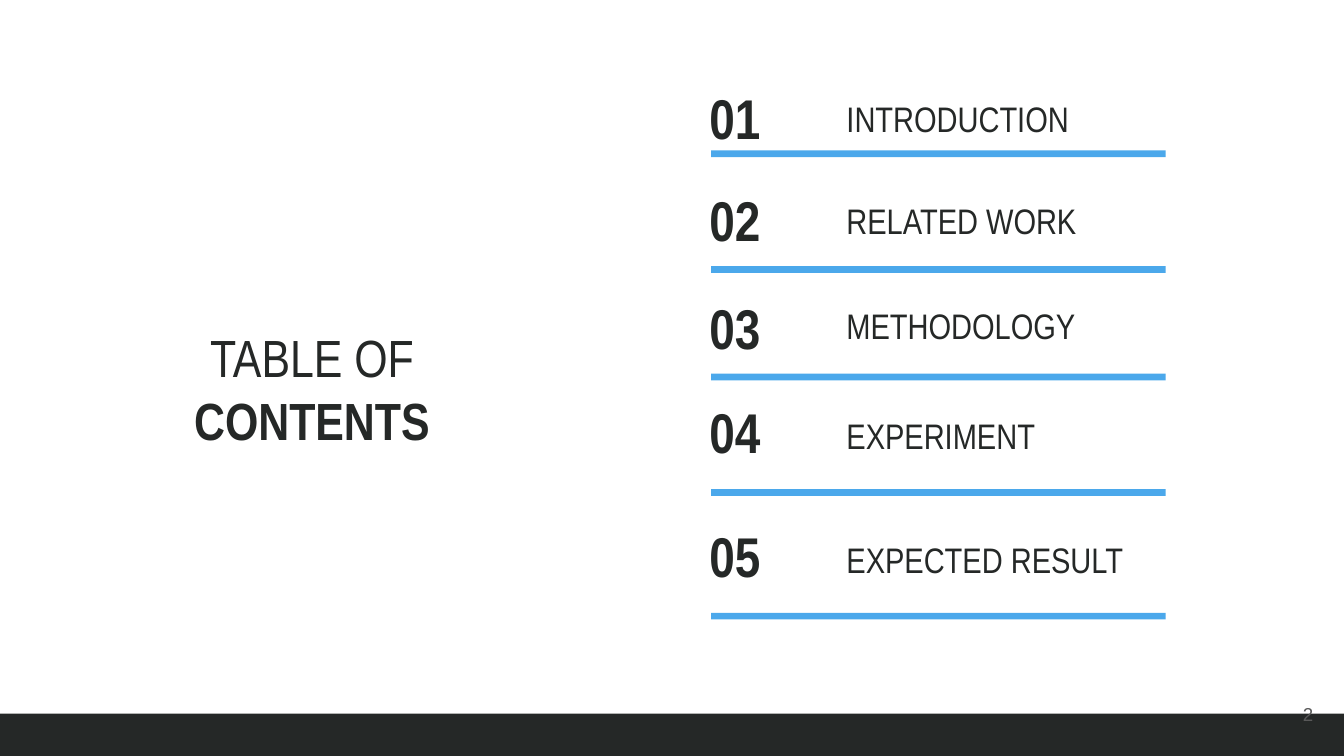
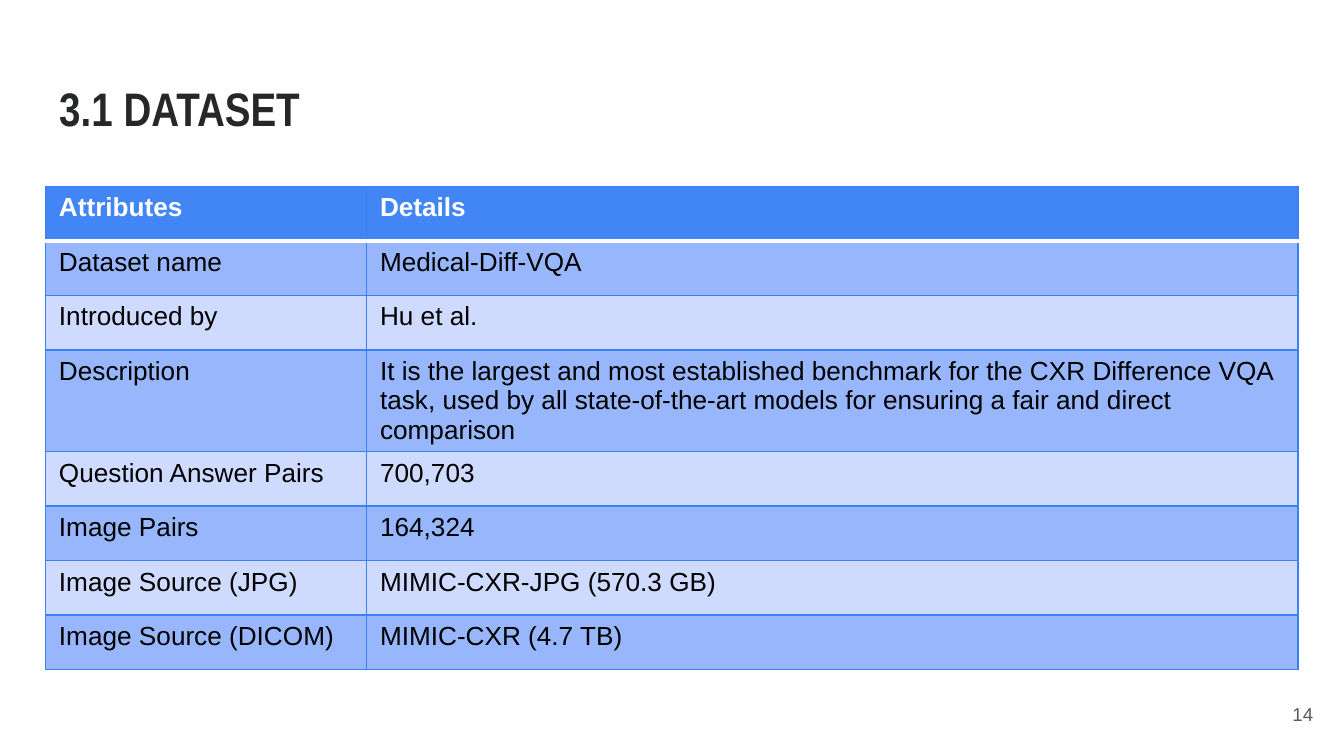
from lxml import etree
from pptx import Presentation
from pptx.dml.color import RGBColor
from pptx.enum.shapes import MSO_SHAPE
from pptx.enum.text import MSO_ANCHOR, MSO_AUTO_SIZE, PP_ALIGN
from pptx.oxml.ns import qn
from pptx.util import Pt

RECTANGLE = MSO_SHAPE.RECTANGLE
TOP, MIDDLE = MSO_ANCHOR.TOP, MSO_ANCHOR.MIDDLE
LEFT, CENTER, RIGHT = PP_ALIGN.LEFT, PP_ALIGN.CENTER, PP_ALIGN.RIGHT
NO_AUTO_SIZE = MSO_AUTO_SIZE.NONE

INK = RGBColor(0x25, 0x28, 0x27)
SKY = RGBColor(0x4B, 0xA8, 0xEB)
GRAY = RGBColor(0x59, 0x59, 0x59)
WHITE = RGBColor(0xFF, 0xFF, 0xFF)
BLACK = RGBColor(0x00, 0x00, 0x00)
HEADER_BLUE = RGBColor(0x42, 0x85, 0xF4)
BAND_DARK = RGBColor(0x97, 0xB6, 0xFB)
BAND_LIGHT = RGBColor(0xCF, 0xDA, 0xFF)
BORDER_BLUE = RGBColor(0x3C, 0x81, 0xF3)

HEADING_FONT, BODY_FONT = "Arial Narrow", "Arial"
INSET = 7.2

TITLE_FORMAT = {"name": HEADING_FONT, "size": Pt(28), "bold": False}
TITLE_BOLD = {**TITLE_FORMAT, "bold": True}
HEADING_FORMAT = {**TITLE_BOLD, "size": Pt(25.2)}
LABEL_FORMAT = {**TITLE_FORMAT, "size": Pt(19)}
NUMBER_FORMAT = {**TITLE_BOLD, "size": Pt(30)}
PAGE_FORMAT = {"name": BODY_FONT, "size": Pt(10)}
CELL_FORMAT = {"name": BODY_FONT, "size": Pt(14), "bold": False}
HEADER_FORMAT = {**CELL_FORMAT, "bold": True}

CONTENTS_TITLE = [("TABLE OF", TITLE_FORMAT), (" CONTENTS", TITLE_BOLD)]
CONTENTS_PAGE = "2"
# label, number top, label top, rule top
CONTENTS = [
    ("INTRODUCTION", 37.4, 44.6, 80.6),
    ("RELATED WORK", 92.2, 99.4, 142.6),
    ("METHODOLOGY", 149.8, 155.5, 200.2),
    ("EXPERIMENT", 205.9, 214.6, 262.1),
    ("EXPECTED RESULT", 272.2, 280.8, 328.3),
]

DATASET_TITLE = [("3.1 DATASET", HEADING_FORMAT)]
DATASET_PAGE = "14"
DATASET = [
    ("Attributes", "Details"),
    ("Dataset name", "Medical-Diff-VQA"),
    ("Introduced by", "Hu et al."),
    ("Description", "It is the largest and most established benchmark for the CXR "
     "Difference VQA task, used by all state-of-the-art models for ensuring a fair "
     "and direct comparison"),
    ("Question Answer Pairs", "700,703"),
    ("Image Pairs", "164,324"),
    ("Image Source (JPG)", "MIMIC-CXR-JPG (570.3 GB)"),
    ("Image Source (DICOM)", "MIMIC-CXR (4.7 TB)"),
]
COLUMN_WIDTHS = (172, 499)
ROW_HEIGHT = 29.2


def set_format(target, values):
    for name, value in values.items():
        setattr(target, name, value)


def place(shape, box):
    set_format(shape, dict(zip(("left", "top", "width", "height"), map(Pt, box))))


def write_runs(paragraph, runs, color, alignment=LEFT):
    paragraph.alignment = alignment
    for text, values in runs:
        run = paragraph.add_run()
        run.text = text
        set_format(run.font, values)
        run.font.color.rgb = color


def fill_text(shape, runs, color=INK, alignment=LEFT, anchor=TOP):
    frame = shape.text_frame
    set_format(frame, {"word_wrap": True, "auto_size": NO_AUTO_SIZE,
                       "vertical_anchor": anchor})
    for side in ("left", "top", "right", "bottom"):
        setattr(frame, f"margin_{side}", Pt(INSET))
    write_runs(frame.paragraphs[0], runs, color, alignment)


def add_text(slide, box, runs, **options):
    fill_text(slide.shapes.add_textbox(*map(Pt, box)), runs, **options)


def add_bar(slide, box, color):
    bar = slide.shapes.add_shape(RECTANGLE, *map(Pt, box))
    bar.shadow.inherit = False
    bar.fill.solid()
    bar.fill.fore_color.rgb = color
    bar.line.fill.background()


def add_titled_slide(presentation, box, runs, alignment=LEFT):
    slide = presentation.slides.add_slide(presentation.slide_layouts[5])
    title = slide.shapes.title
    place(title, box)
    fill_text(title, runs, alignment=alignment)
    return slide


def add_page_number(slide, number):
    add_text(slide, (667.4, 367.2, 43.2, 31), [(number, PAGE_FORMAT)],
             color=GRAY, alignment=RIGHT, anchor=MIDDLE)


def set_borders(cell, borders):
    properties = cell._tc.get_or_add_tcPr()
    for position, (side, (color, width)) in enumerate(borders.items()):
        line = etree.Element(qn(f"a:ln{side}"), w=str(Pt(width)))
        fill = etree.SubElement(line, qn("a:solidFill"))
        etree.SubElement(fill, qn("a:srgbClr"), val=str(color))
        properties.insert(position, line)


def add_dataset_table(slide):
    frame = slide.shapes.add_table(
        len(DATASET), len(COLUMN_WIDTHS), Pt(24.4), Pt(99.9),
        Pt(sum(COLUMN_WIDTHS)), Pt(ROW_HEIGHT * len(DATASET)))
    table = frame.table
    for column, width in zip(table.columns, COLUMN_WIDTHS):
        column.width = Pt(width)
    thin, thick = (BORDER_BLUE, 0.75), (WHITE, 2)
    for row_index, values in enumerate(DATASET):
        table.rows[row_index].height = Pt(ROW_HEIGHT)
        header = row_index == 0
        band = BAND_DARK if row_index % 2 else BAND_LIGHT
        borders = {"L": thin, "R": thin,
                   "T": thick if row_index == 1 else thin,
                   "B": thick if header else thin}
        for column_index, text in enumerate(values):
            cell = table.cell(row_index, column_index)
            cell.fill.solid()
            cell.fill.fore_color.rgb = HEADER_BLUE if header else band
            write_runs(cell.text_frame.paragraphs[0],
                       [(text, HEADER_FORMAT if header else CELL_FORMAT)],
                       WHITE if header else BLACK)
            set_borders(cell, borders)


def build_contents(presentation):
    slide = add_titled_slide(presentation, (45.4, 167, 243.4, 48.2),
                             CONTENTS_TITLE, CENTER)
    add_bar(slide, (0, 382.3, 720, 22.7), INK)
    for index, (label, number_top, label_top, rule_top) in enumerate(CONTENTS, 1):
        add_text(slide, (373, number_top, 53.3, 51.1), [(f"{index:02}", NUMBER_FORMAT)])
        add_text(slide, (446.4, label_top, 211.7, 37.4), [(label, LABEL_FORMAT)])
        add_bar(slide, (381, rule_top, 243.4, 3.6), SKY)
    add_page_number(slide, CONTENTS_PAGE)


def build_dataset(presentation):
    slide = add_titled_slide(presentation, (24.5, 35.3, 671, 45.4), DATASET_TITLE)
    add_page_number(slide, DATASET_PAGE)
    add_dataset_table(slide)


def main():
    presentation = Presentation()
    presentation.slide_width, presentation.slide_height = Pt(720), Pt(405)
    build_contents(presentation)
    build_dataset(presentation)
    presentation.save("out.pptx")


if __name__ == "__main__":
    main()
